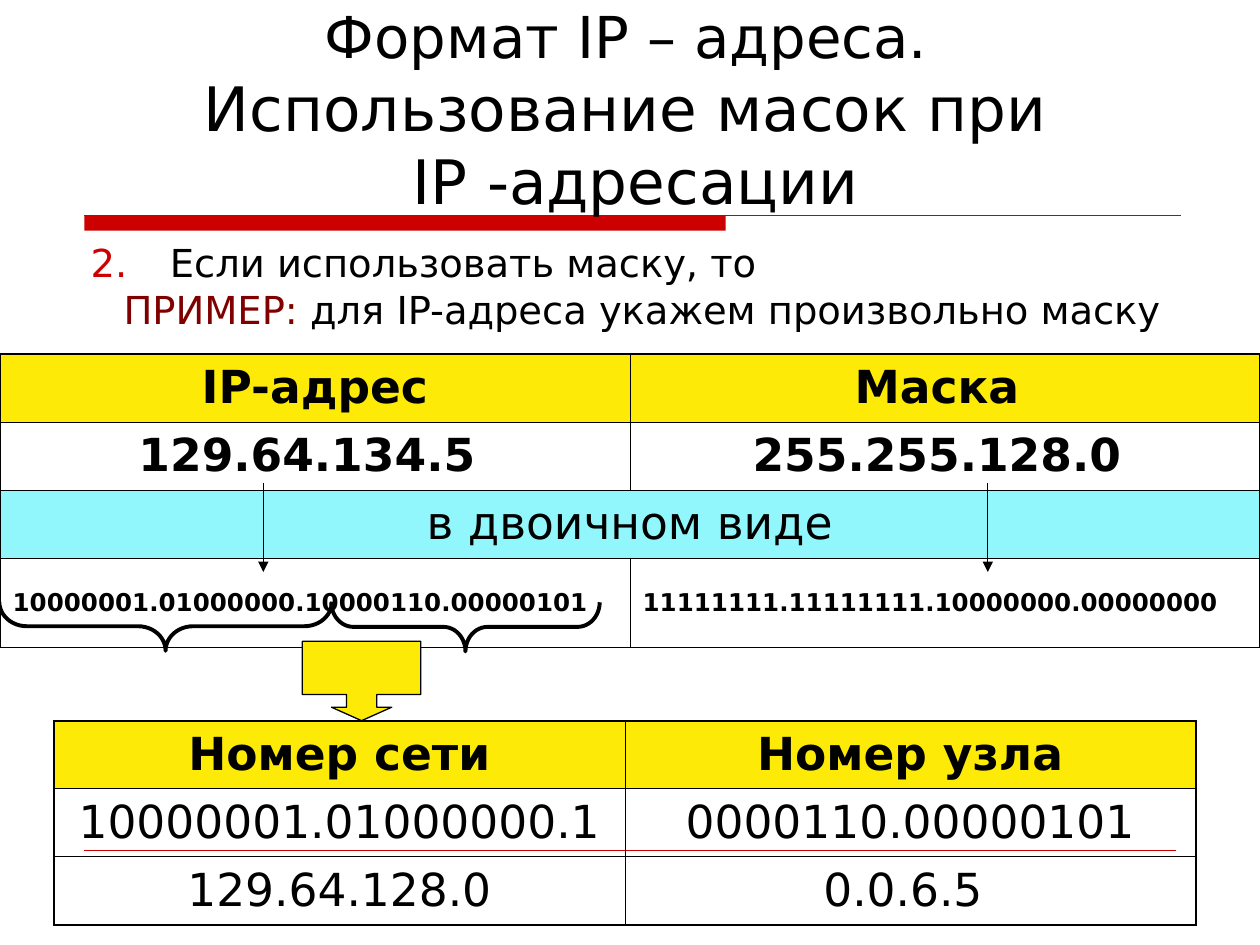
"""Build a slide on splitting an IP address with a mask."""
from lxml.etree import SubElement
from pptx import Presentation
from pptx.dml.color import RGBColor
from pptx.enum.shapes import MSO_CONNECTOR, MSO_SHAPE
from pptx.enum.text import MSO_ANCHOR, PP_ALIGN
from pptx.oxml.ns import qn
from pptx.util import Inches, Pt

BLACK = RGBColor(0, 0, 0)
RED = RGBColor(0xCC, 0, 0)
MAROON = RGBColor(0x80, 0, 0)
YELLOW = RGBColor(0xFD, 0xEB, 0x07)
CYAN = RGBColor(0x92, 0xF7, 0xFC)
FONT = "DejaVu Sans"

TITLE = [("Формат IP – адреса. \v", 33), ("Использование масок при \vIP -адресации", 35)]
RULE = "Если использовать маску, то"
EXAMPLE = [("ПРИМЕР:", MAROON), (" для IP-адреса укажем произвольно маску", BLACK)]

HEADING = {"size": 26, "bold": True, "align": PP_ALIGN.CENTER}
PLAIN = {"size": 26, "align": PP_ALIGN.CENTER}
BITS = {"size": 14, "bold": True}
ADDRESS_ROWS = [
    (["IP-адрес", "Маска "], YELLOW, HEADING, 0.54),
    (["129.64.134.5 ", "255.255.128.0 "], None, HEADING, 0.54),
    (["в двоичном виде"], CYAN, PLAIN, 0.54),
    (["10000001.01000000.10000110.00000101", "11111111.11111111.10000000.00000000"], None, BITS, 0.71),
]
RESULT_ROWS = [
    (["Номер сети", "Номер узла"], YELLOW, HEADING, 0.54),
    (["10000001.01000000.1", "0000110.00000101"], None, PLAIN, 0.54),
    (["129.64.128.0", "0.0.6.5 "], None, PLAIN, 0.54),
]
ARROW_CENTERS = [2.09, 7.84]
BRACES = [(1.12, 3.65, 2.64, 0.56), (3.5, 3.91, 2.13, 0.45)]


def write(para, text, size=22, color=BLACK, bold=False, align=None):
    if align is not None:
        para.alignment = align
    for index, line in enumerate(text.split("\v")):
        if index:
            para.add_line_break()
        if line:
            span = para.add_run()
            span.text = line
            span.font.name = FONT
            span.font.size = Pt(size)
            span.font.bold = bold
            span.font.color.rgb = color


def add_box(slide, left, top, width, height, anchor):
    frame = slide.shapes.add_textbox(*map(Inches, (left, top, width, height))).text_frame
    frame.word_wrap = True
    frame.vertical_anchor = anchor
    return frame


def hang(para, number=None):
    para.line_spacing = 0.8
    properties = para._p.get_or_add_pPr()
    properties.set("marL", str(Inches(0.63)))
    properties.set("indent", str(Inches(-0.63)))
    if number:
        color = SubElement(properties, qn("a:buClr"))
        SubElement(color, qn("a:srgbClr"), val=str(RED))
        SubElement(properties, qn("a:buFont"), typeface=FONT)
        SubElement(properties, qn("a:buAutoNum"), type="arabicPeriod", startAt=str(number))


def add_line(slide, start, end, color, width, arrow=False):
    line = slide.shapes.add_connector(MSO_CONNECTOR.STRAIGHT, *map(Inches, start + end))
    line.line.color.rgb = color
    line.line.width = Pt(width)
    if arrow:
        SubElement(line.line._get_or_add_ln(), qn("a:tailEnd"), type="triangle")
    SubElement(line._element.spPr, qn("a:effectLst"))


def add_shape(slide, kind, place, fill=None, line_width=None, adjustments=()):
    shape = slide.shapes.add_shape(kind, *map(Inches, place))
    shape.shadow.inherit = False
    for index, value in enumerate(adjustments):
        shape.adjustments[index] = value
    if fill is None:
        shape.fill.background()
    else:
        shape.fill.solid()
        shape.fill.fore_color.rgb = fill
    if line_width is None:
        shape.line.fill.background()
    else:
        shape.line.color.rgb = BLACK
        shape.line.width = Pt(line_width)
    return shape


def add_borders(cell, outer):
    properties = cell._tc.get_or_add_tcPr()
    for side in "LRTB":
        width = Pt(1.08 if side in outer else 0.45)
        border = SubElement(properties, qn(f"a:ln{side}"), w=str(width))
        SubElement(SubElement(border, qn("a:solidFill")), qn("a:srgbClr"), val=str(BLACK))


def add_table(slide, rows, left, top, width):
    height = sum(row[3] for row in rows)
    place = map(Inches, (left, top, width, height))
    table = slide.shapes.add_table(len(rows), 2, *place).table
    table.first_row = table.horz_banding = False
    for index, (texts, fill, style, row_height) in enumerate(rows):
        table.rows[index].height = Inches(row_height)
        edges = {0: "T", len(rows) - 1: "B"}.get(index, "")
        merged = len(texts) == 1
        for column in range(2):
            cell = table.cell(index, column)
            add_borders(cell, edges + ("LR" if merged else "LR"[column]))
            cell.vertical_anchor = MSO_ANCHOR.MIDDLE
            if fill is None:
                cell.fill.background()
            else:
                cell.fill.solid()
                cell.fill.fore_color.rgb = fill
            if column < len(texts):
                write(cell.text_frame.paragraphs[0], texts[column], **style)
        if merged:
            table.cell(index, 0).merge(table.cell(index, 1))


def main():
    deck = Presentation()
    deck.slide_width, deck.slide_height = Inches(10), Inches(7.5)
    slide = deck.slides.add_slide(deck.slide_layouts[6])

    add_shape(slide, MSO_SHAPE.RECTANGLE, (0.67, 1.71, 5.09, 0.12), fill=RED)
    add_line(slide, (0.67, 1.71), (9.37, 1.71), RED, 0.75)
    add_line(slide, (0.67, 6.75), (9.33, 6.75), RED, 0.25)

    title = add_box(slide, 0.67, 0.44, 8.75, 1.33, MSO_ANCHOR.BOTTOM).paragraphs[0]
    for text, size in TITLE:
        write(title, text, size=size, align=PP_ALIGN.CENTER)

    body = add_box(slide, 0.62, 1.92, 8.95, 0.81, MSO_ANCHOR.TOP)
    rule, example = body.paragraphs[0], body.add_paragraph()
    hang(rule, number=2)
    write(rule, RULE)
    hang(example)
    example.space_before = Pt(5.5)
    for text, color in EXAMPLE:
        write(example, text, color=color, align=PP_ALIGN.CENTER)

    add_table(slide, ADDRESS_ROWS, 0, 2.81, 10)
    for center in ARROW_CENTERS:
        add_line(slide, (center, 3.83), (center, 4.54), BLACK, 0.75, arrow=True)
    add_table(slide, RESULT_ROWS, 0.43, 5.72, 9.06)

    for left, top, length, curve in BRACES:
        brace = add_shape(slide, MSO_SHAPE.LEFT_BRACE, (left, top, 0.39, length),
                          line_width=2.25, adjustments=(curve, 0.5))
        brace.rotation = 270
    add_shape(slide, MSO_SHAPE.DOWN_ARROW_CALLOUT, (2.4, 5.09, 0.94, 0.63), fill=YELLOW,
              line_width=0.75, adjustments=(0.38, 0.38, 0.17, 0.67))
    deck.save("out.pptx")


if __name__ == "__main__":
    main()
